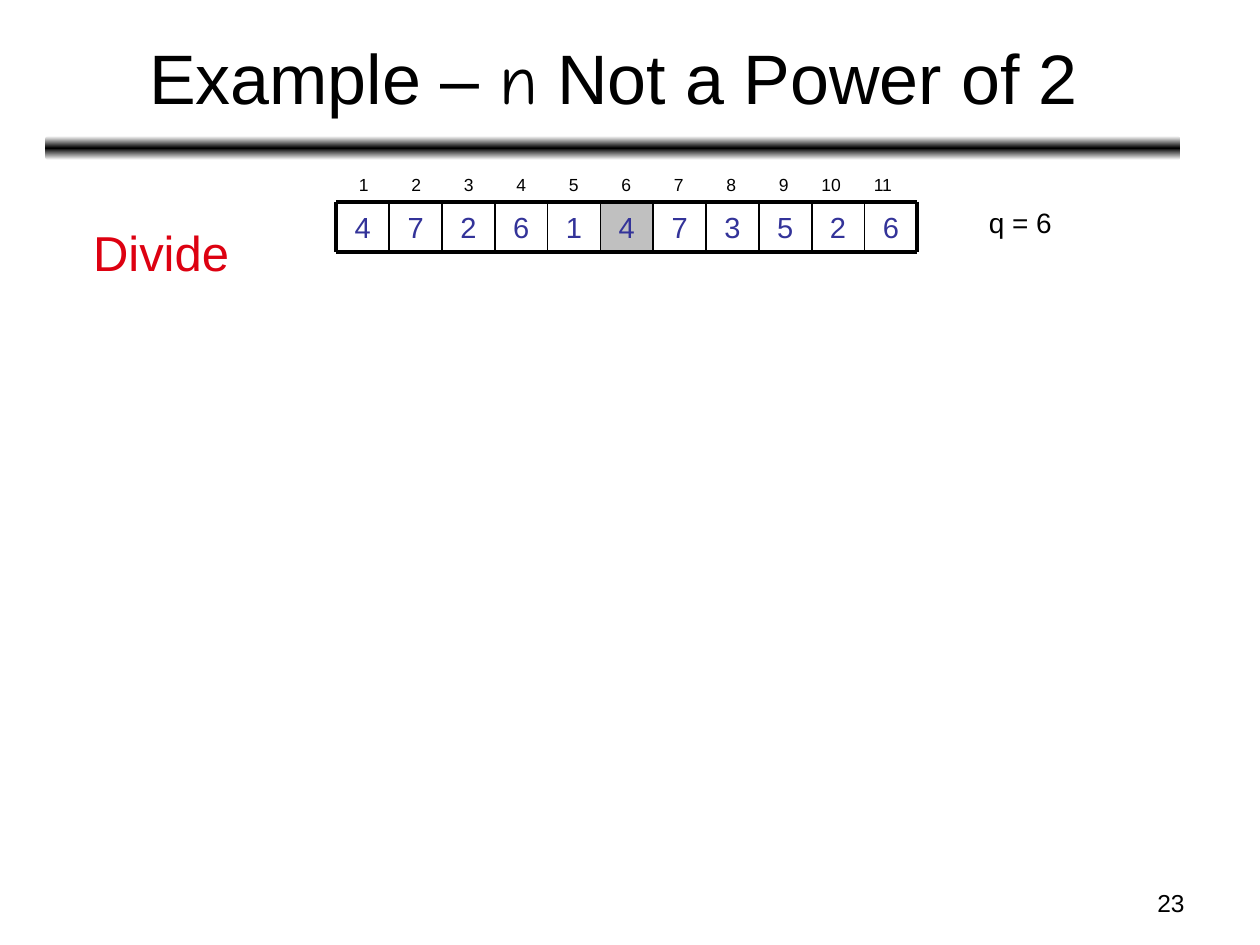
from copy import deepcopy
from dataclasses import dataclass

from lxml.etree import SubElement
from pptx import Presentation
from pptx.dml.color import RGBColor
from pptx.enum.shapes import MSO_CONNECTOR, MSO_SHAPE
from pptx.enum.text import MSO_ANCHOR, PP_ALIGN
from pptx.oxml.ns import qn
from pptx.util import Inches, Pt


@dataclass(frozen=True)
class Theme:
    font: str = "Arial"
    variable_font: str = "Comic Neue"
    black: RGBColor = RGBColor(0x00, 0x00, 0x00)
    white: RGBColor = RGBColor(0xFF, 0xFF, 0xFF)
    gray: RGBColor = RGBColor(0xC0, 0xC0, 0xC0)
    blue: RGBColor = RGBColor(0x33, 0x33, 0x99)
    red: RGBColor = RGBColor(0xDD, 0x01, 0x11)
    title_size: float = 40
    step_size: float = 28
    value_size: float = 16.6
    note_size: float = 16
    page_size: float = 14
    index_size: float = 10
    frame_width: float = 2.25
    divider_width: float = 1


theme = Theme()
deck = Presentation()
deck.slide_width, deck.slide_height = Inches(10), Inches(7.5)
page = deck.slides.add_slide(deck.slide_layouts[5])


def add_text(text, left, top, width, height, size, color=theme.black,
             align=PP_ALIGN.LEFT, wrap=True):
    box = page.shapes.add_textbox(Inches(left), Inches(top), Inches(width), Inches(height))
    box.text_frame.word_wrap = wrap
    para = box.text_frame.paragraphs[0]
    para.alignment = align
    span = para.add_run()
    span.text = text
    span.font.name = theme.font
    span.font.size = Pt(size)
    span.font.color.rgb = color
    return box


def add_line(x1, y1, x2, y2, width):
    line = page.shapes.add_connector(
        MSO_CONNECTOR.STRAIGHT, Inches(x1), Inches(y1), Inches(x2), Inches(y2))
    line.line.color.rgb = theme.black
    line.line.width = Pt(width)
    SubElement(line._element.spPr, qn("a:effectLst"))


# Gradient bar under the title
bar = page.shapes.add_shape(
    MSO_SHAPE.ROUNDED_RECTANGLE, Inches(0.36), Inches(1.08), Inches(9.01), Inches(0.19))
bar.shadow.inherit = False
bar.line.fill.background()
bar.fill.gradient()
bar.fill.gradient_angle = 90
stop_list = bar._element.spPr.find(".//" + qn("a:gsLst"))
stop_list.append(deepcopy(stop_list[-1]))
bar_stops = [(0, theme.white), (0.5, theme.black), (1, theme.white)]
for stop, (position, color) in zip(bar.fill.gradient_stops, bar_stops):
    stop.position = position
    stop.color.rgb = color

# Slide number
add_text("23", 7.17, 7, 2.33, 0.35, theme.page_size, align=PP_ALIGN.RIGHT)

# Title
title = page.shapes.title
title.left, title.top = Inches(0.37), Inches(0.11)
title.width, title.height = Inches(9), Inches(0.99)
title.text_frame.vertical_anchor = MSO_ANCHOR.MIDDLE
para = title.text_frame.paragraphs[0]
para.alignment = PP_ALIGN.CENTER
for text, font in [("Example – ", theme.font), ("n", theme.variable_font),
                   (" Not a Power of 2", theme.font)]:
    span = para.add_run()
    span.text = text
    span.font.name = font
    span.font.size = Pt(theme.title_size)
    span.font.color.rgb = theme.black

# Array values, with the dividing element shaded
values = [4, 7, 2, 6, 1, 4, 7, 3, 5, 2, 6]
divide_at = 6
left, right, top, bottom = 2.67, 7.28, 1.6, 2
pitch = (right - left) / len(values)
for index, value in enumerate(values, start=1):
    cell = add_text(str(value), left + (index - 1) * pitch, top, pitch, bottom - top,
                    theme.value_size, theme.blue, PP_ALIGN.CENTER)
    cell.text_frame.vertical_anchor = MSO_ANCHOR.MIDDLE
    cell.text_frame.paragraphs[0].space_before = Pt(4.5)
    if index == divide_at:
        cell.fill.solid()
        cell.fill.fore_color.rgb = theme.gray

# Array frame and dividers
for y in (top, bottom):
    add_line(left, y, right, y, theme.frame_width)
for edge in range(len(values) + 1):
    x = left + edge * pitch
    outer = edge in (0, len(values))
    add_line(x, top, x, bottom, theme.frame_width if outer else theme.divider_width)

# Index numbers above the array; two-digit ones get a wider box
index_pitch = 5 / 12
for index in range(1, len(values) + 1):
    shift, width = (0, 0.25) if index < 10 else (-0.08, 0.42)
    add_text(str(index), 2.75 + (index - 1) * index_pitch + shift, 1.33, width, 0.27,
             theme.index_size)

# Step name and split position
add_text("q = 6", 7.75, 1.58, 1.08, 0.37, theme.note_size)
add_text("Divide", 0.64, 1.72, 1.28, 0.57, theme.step_size, theme.red, wrap=False)

deck.save("out.pptx")
